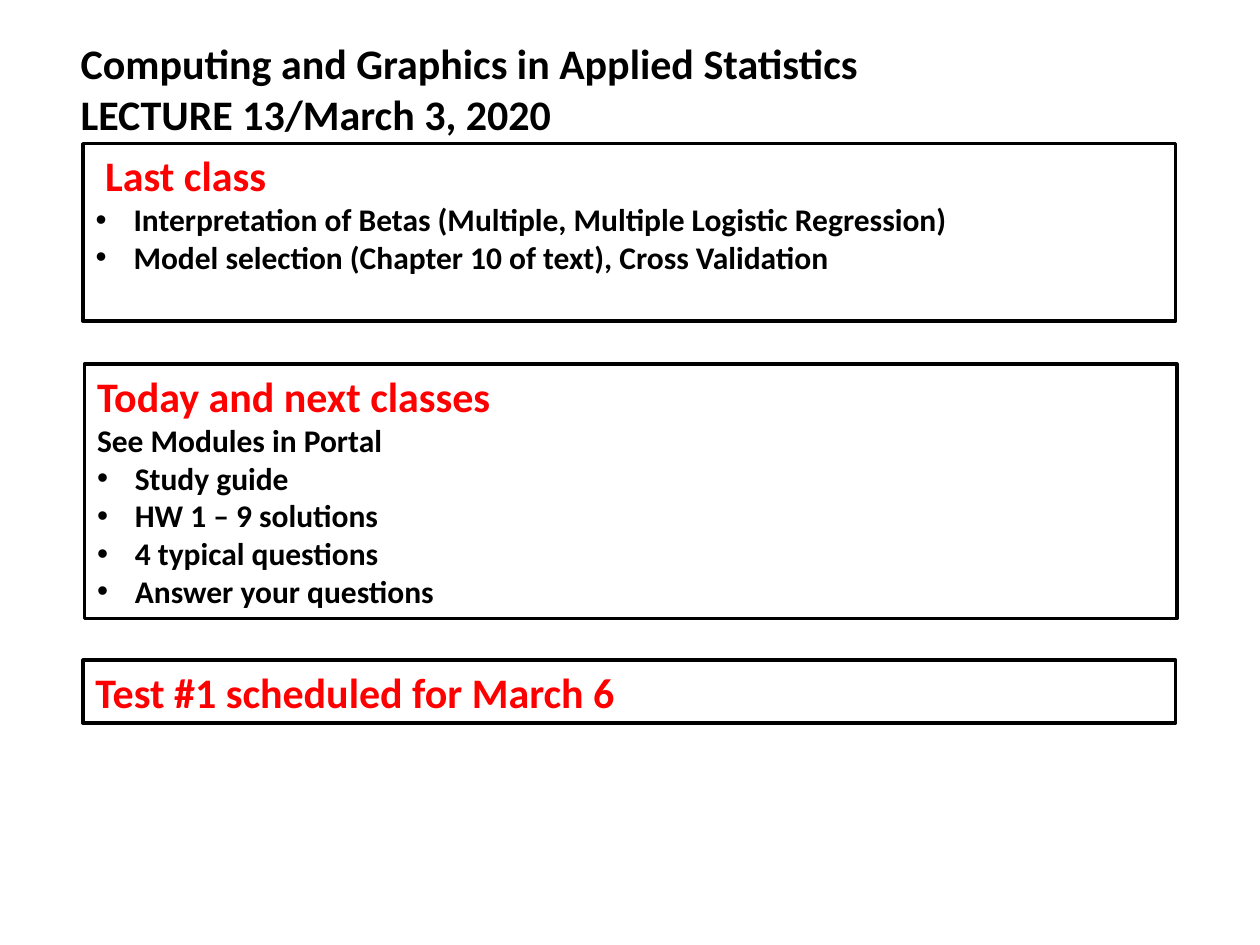
from lxml.etree import SubElement
from pptx import Presentation
from pptx.dml.color import RGBColor
from pptx.enum.shapes import MSO_SHAPE as Shape
from pptx.enum.text import MSO_ANCHOR as Anchor, MSO_AUTO_SIZE as AutoSize, PP_ALIGN as Align
from pptx.oxml.ns import qn
from pptx.util import Inches, Pt

COLORS = {"text": "000000", "heading": "FF0000", "panel": "FFFFFF", "border": "000000"}
FONT = "Calibri"
HEADING_SIZE, BODY_SIZE = 24, 18
BULLET_INDENT = 0.3

LAST_CLASS = [
    (" Last class", "heading"),
    ("Interpretation of Betas (Multiple, Multiple Logistic Regression)", "bullet"),
    ("Model selection (Chapter 10 of text), Cross Validation", "bullet"),
]
NEXT_CLASSES = [
    ("Today and next classes", "heading"),
    ("See Modules in Portal", "plain"),
    ("Study guide", "bullet"),
    ("HW 1 – 9 solutions", "bullet"),
    ("4 typical questions", "bullet"),
    ("Answer your questions", "bullet"),
]
TEST_NOTICE = [("Test #1 scheduled for March 6", "heading")]


def color(name):
    """Return the named palette colour."""
    return RGBColor.from_string(COLORS[name])


def place(box, left, top, width, height):
    """Move and size a box, and set its text to start at the top left."""
    box.left, box.top = Inches(left), Inches(top)
    box.width, box.height = Inches(width), Inches(height)
    frame = box.text_frame
    frame.word_wrap = True
    frame.auto_size = AutoSize.NONE
    frame.vertical_anchor = Anchor.TOP


def set_bullet(para, shown):
    """Give a paragraph a hanging bullet, or none at all."""
    props = para._p.get_or_add_pPr()
    indent = Inches(BULLET_INDENT) if shown else 0
    props.set("marL", str(indent))
    props.set("indent", str(-indent))
    if shown:
        SubElement(props, qn("a:buFont"), typeface="Arial")
        SubElement(props, qn("a:buChar"), char="•")
    else:
        SubElement(props, qn("a:buNone"))


def write_line(frame, index, text, size, color_name, bullet=False):
    """Write one bold line as paragraph number index of the frame."""
    para = frame.add_paragraph() if index else frame.paragraphs[0]
    set_bullet(para, bullet)
    para.alignment = Align.LEFT
    para.space_before = Pt(0)
    span = para.add_run()
    span.text = text
    span.font.name = FONT
    span.font.size = Pt(size)
    span.font.bold = True
    span.font.color.rgb = color(color_name)


def fill_title(box, lines, left, top, width, height):
    """Place the lecture title."""
    place(box, left, top, width, height)
    for index, text in enumerate(lines):
        write_line(box.text_frame, index, text, HEADING_SIZE, "text")


def fill_panel(box, lines, left, top, width, height):
    """Place a bordered panel with a red heading and its list."""
    place(box, left, top, width, height)
    box.fill.solid()
    box.fill.fore_color.rgb = color("panel")
    box.line.color.rgb = color("border")
    box.line.width = Pt(2)
    for index, (text, kind) in enumerate(lines):
        heading = kind == "heading"
        write_line(box.text_frame, index, text,
                   HEADING_SIZE if heading else BODY_SIZE,
                   "heading" if heading else "text", kind == "bullet")


def build_lecture_slide(deck):
    """Add the lecture overview slide."""
    page = deck.slides.add_slide(deck.slide_layouts.get_by_name("Two Content"))
    title, last_class, next_classes = page.placeholders
    fill_title(title, ["Computing and Graphics in Applied Statistics",
                       "LECTURE 13/March 3, 2020"], 0.54, 0.25, 8, 1.31)
    fill_panel(last_class, LAST_CLASS, 0.66, 1.14, 8.67, 1.41)
    fill_panel(next_classes, NEXT_CLASSES, 0.67, 2.89, 8.67, 2.02)
    notice = page.shapes.add_shape(Shape.RECTANGLE, 0, 0, 0, 0)
    notice.shadow.inherit = False
    fill_panel(notice, TEST_NOTICE, 0.66, 5.24, 8.67, 0.5)


def main():
    """Build and save the deck."""
    deck = Presentation()
    deck.slide_width, deck.slide_height = Inches(10), Inches(7.5)
    build_lecture_slide(deck)
    deck.save("out.pptx")


if __name__ == "__main__":
    main()
